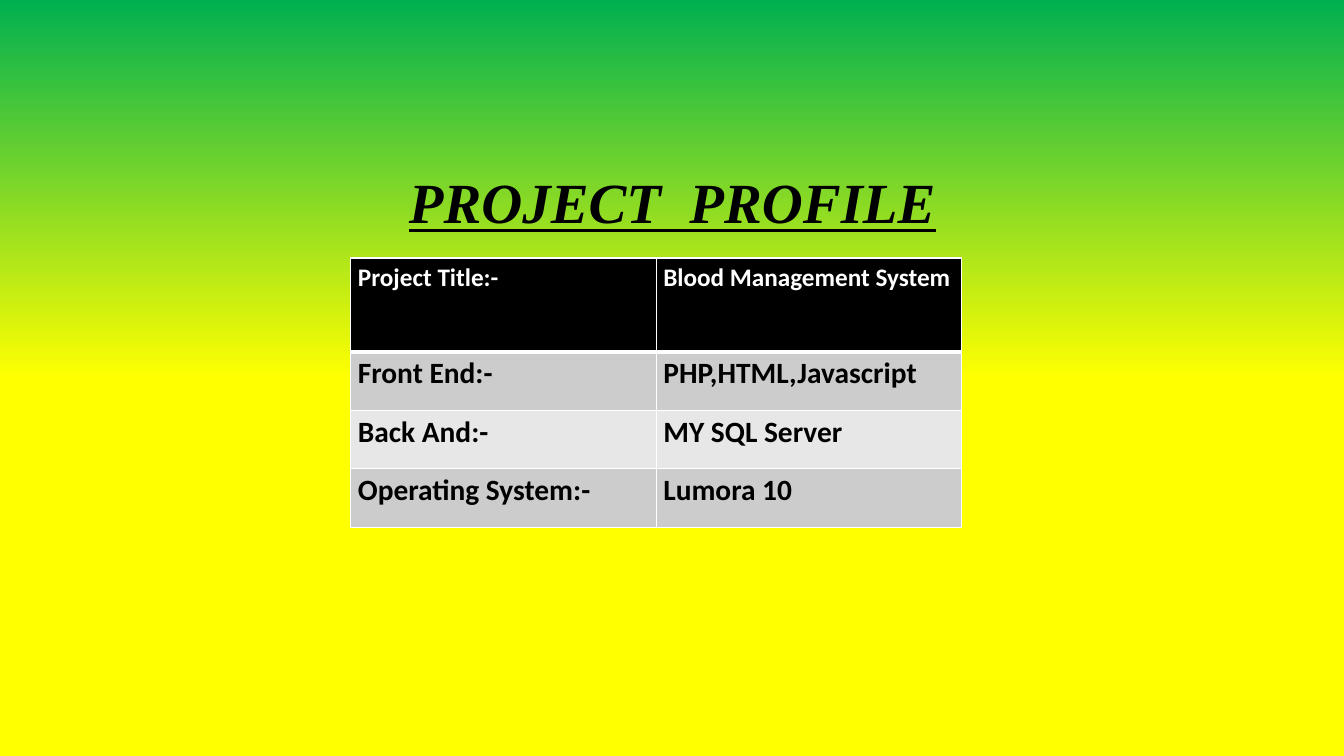
from copy import deepcopy

from lxml.etree import SubElement
from pptx import Presentation
from pptx.dml.color import RGBColor
from pptx.enum.text import MSO_AUTO_SIZE, PP_ALIGN
from pptx.oxml.ns import qn
from pptx.util import Inches, Pt

COLORS = {
    "green": "00B050",
    "yellow": "FFFF00",
    "black": "000000",
    "white": "FFFFFF",
    "dark_band": "CCCCCC",
    "light_band": "E7E7E7",
}
PROFILE_ROWS = [
    ("Project Title:-", "Blood Management System"),
    ("Front End:-", "PHP,HTML,Javascript"),
    ("Back And:-", "MY SQL Server"),
    ("Operating System:-", "Lumora 10"),
]


class SlideBuilder:
    title_font = "Times New Roman"
    table_font = "Calibri"

    def __init__(self, slide):
        self.slide = slide

    def color(self, name):
        return RGBColor.from_string(COLORS[name])

    def style(self, paragraph, font_name, size, color):
        font = paragraph.font
        font.name = font_name
        font.size = Pt(size)
        font.bold = True
        font.color.rgb = self.color(color)

    def background(self, stops):
        fill = self.slide.background.fill
        fill.gradient()
        fill.gradient_angle = 270
        stop_list = self.slide.background._cSld.find(".//" + qn("a:gsLst"))
        while len(stop_list) < len(stops):
            stop_list.append(deepcopy(stop_list[-1]))
        for stop, (position, color) in zip(fill.gradient_stops, stops):
            stop.position = position
            stop.color.rgb = self.color(color)

    def title(self, text, left, top, width, height):
        shape = self.slide.shapes.add_textbox(
            Inches(left), Inches(top), Inches(width), Inches(height)
        )
        frame = shape.text_frame
        frame.word_wrap = True
        frame.auto_size = MSO_AUTO_SIZE.SHAPE_TO_FIT_TEXT
        paragraph = frame.paragraphs[0]
        paragraph.text = text
        paragraph.alignment = PP_ALIGN.CENTER
        self.style(paragraph, self.title_font, 40.5, "black")
        paragraph.font.italic = True
        paragraph.font.underline = True

    def borders(self, cell, top, bottom):
        properties = cell._tc.get_or_add_tcPr()
        widths = {"a:lnL": 1, "a:lnR": 1, "a:lnT": top, "a:lnB": bottom}
        for index, (tag, width) in enumerate(widths.items()):
            line = properties.makeelement(qn(tag), {"w": str(Pt(width))})
            fill = SubElement(line, qn("a:solidFill"))
            SubElement(fill, qn("a:srgbClr"), val=COLORS["white"])
            properties.insert(index, line)

    def table(self, rows, left, top, column_width, heights):
        columns = len(rows[0])
        table = self.slide.shapes.add_table(
            len(rows), columns, Inches(left), Inches(top),
            Inches(column_width * columns), Inches(sum(heights)),
        ).table
        for column in table.columns:
            column.width = Inches(column_width)
        for row_index, (texts, height) in enumerate(zip(rows, heights)):
            table.rows[row_index].height = Inches(height)
            header = row_index == 0
            band = "dark_band" if row_index % 2 else "light_band"
            for column_index, text in enumerate(texts):
                cell = table.cell(row_index, column_index)
                cell.margin_left = cell.margin_right = Inches(0.07)
                cell.margin_top = cell.margin_bottom = Inches(0.04)
                cell.fill.solid()
                cell.fill.fore_color.rgb = self.color("black" if header else band)
                self.borders(cell, 3 if row_index == 1 else 1, 3 if header else 1)
                paragraph = cell.text_frame.paragraphs[0]
                paragraph.text = text
                self.style(
                    paragraph, self.table_font,
                    18 if header else 21, "white" if header else "black",
                )


def main():
    presentation = Presentation()
    presentation.slide_width = Inches(13.33)
    presentation.slide_height = Inches(7.5)
    slide = presentation.slides.add_slide(presentation.slide_layouts[6])
    builder = SlideBuilder(slide)
    builder.background(
        [(0, "green"), (0.5, "yellow"), (0.73, "yellow"), (0.95, "yellow")]
    )
    builder.table(PROFILE_ROWS, 3.48, 2.56, 3.03, [0.93, 0.58, 0.58, 0.58])
    builder.title("PROJECT  PROFILE", 2.92, 1.61, 7.5, 0.78)
    presentation.save("out.pptx")


if __name__ == "__main__":
    main()
